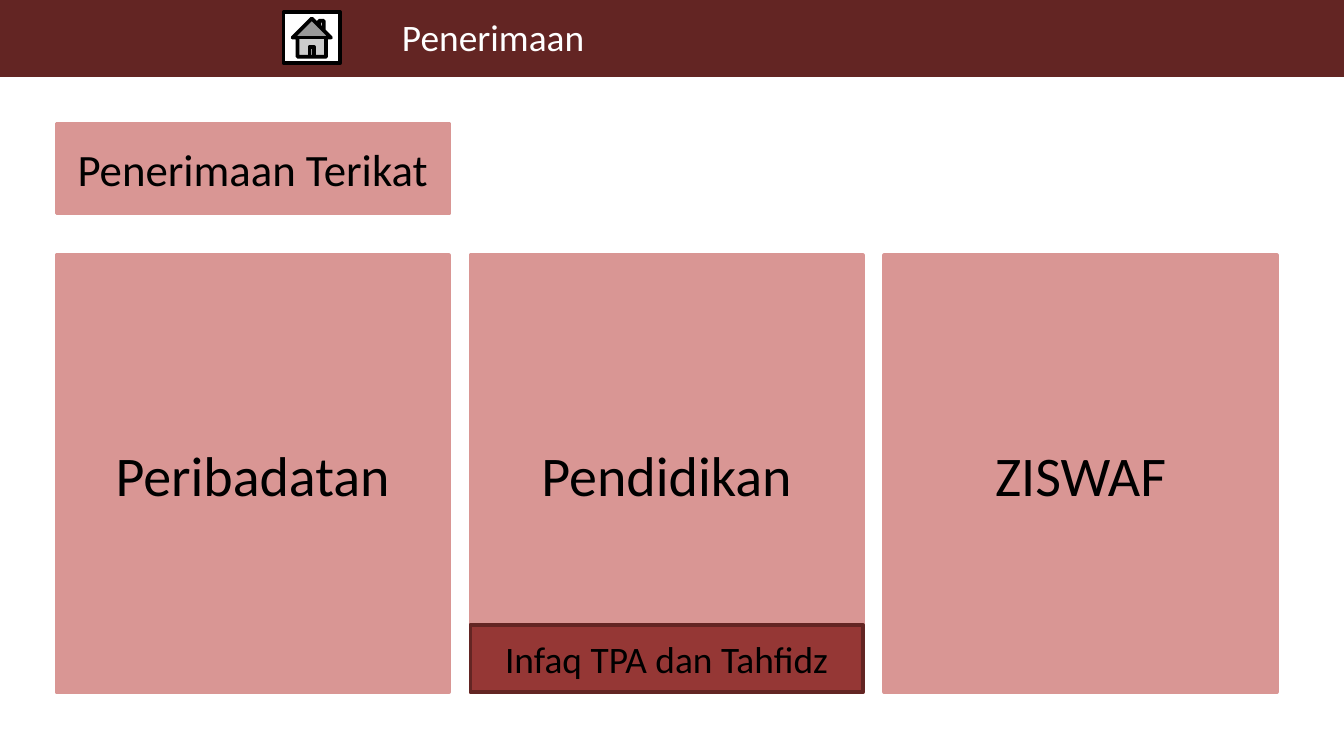
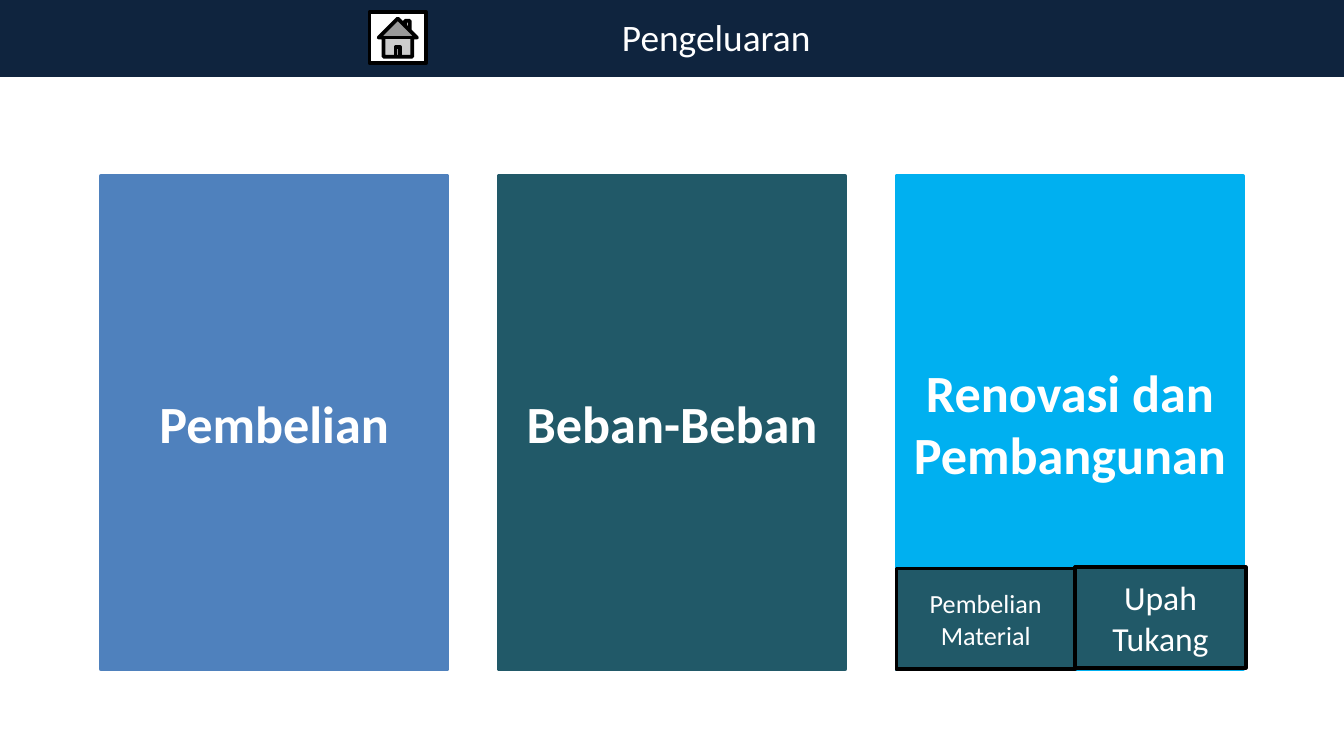
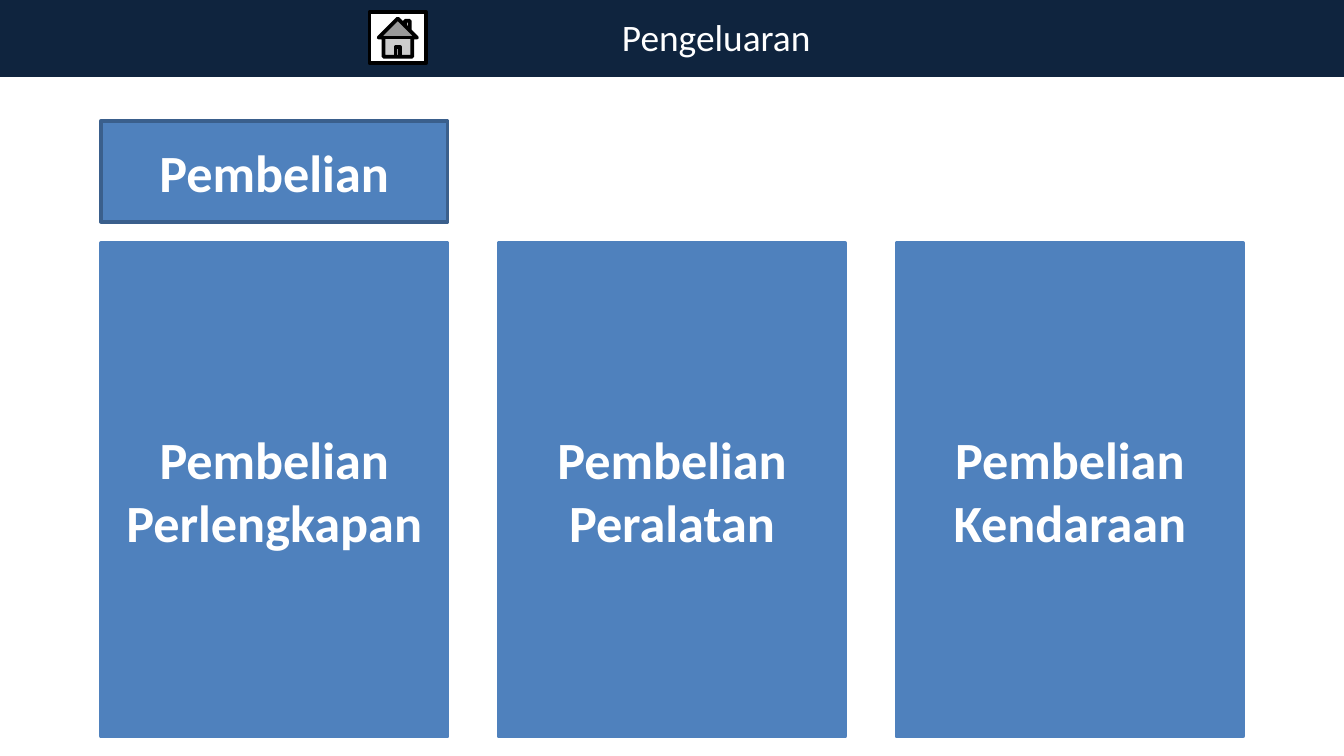
from dataclasses import dataclass
from pptx import Presentation
from pptx.dml.color import RGBColor as RGB
from pptx.enum.shapes import MSO_SHAPE as Kind
from pptx.enum.text import MSO_ANCHOR as Anchor, MSO_AUTO_SIZE as Fit, PP_ALIGN as Align
from pptx.util import Inches, Pt


@dataclass(frozen=True)
class Theme:
    font: str = "Calibri"
    white: str = "FFFFFF"
    black: str = "000000"
    wine: str = "632523"
    brick: str = "953735"
    rose: str = "D99694"
    navy: str = "0F243E"
    blue: str = "4F81BD"
    edge: str = "3A5F8C"
    teal: str = "215968"
    sky: str = "00B0F0"
    line: int = 2
    big: int = 30
    head: int = 28
    tag: int = 24
    title: int = 20
    sub: int = 18
    small: int = 14


T = Theme()
WIDTH = 10
HEIGHT = WIDTH * 9 / 16


def write(shape, text, size, color, bold=False):
    """Fill a shape with one centred paragraph."""
    frame = shape.text_frame
    frame.word_wrap = True
    frame.text = text
    para = frame.paragraphs[0]
    para.alignment = Align.CENTER
    for run in para.runs:
        font = run.font
        font.name, font.size, font.bold = T.font, Pt(size), bold
        font.color.rgb = RGB.from_string(color)


def block(slide, box, fill, line=None, kind=Kind.RECTANGLE):
    """Flat outlined shape; the outline follows the fill unless given."""
    shape = slide.shapes.add_shape(kind, *map(Inches, box))
    shape.shadow.inherit = False
    shape.fill.solid()
    shape.fill.fore_color.rgb = RGB.from_string(fill)
    shape.line.color.rgb = RGB.from_string(line or fill)
    shape.line.width = Pt(T.line)
    return shape


def label(slide, box, text, fill, size, color=T.white, line=None, bold=False):
    shape = block(slide, box, fill, line)
    shape.text_frame.vertical_anchor = Anchor.MIDDLE
    write(shape, text, size, color, bold)


def header(slide, title, fill, home, left):
    """Top band with the home button and the title."""
    block(slide, (0, 0, WIDTH, 0.56), fill)
    block(slide, (home, 0.09, 0.42, 0.38), T.white, T.black, Kind.ACTION_BUTTON_HOME)
    text = slide.shapes.add_textbox(*map(Inches, (left, 0.06, 2, 0.44)))
    write(text, title, T.title, T.white)
    text.text_frame.auto_size = Fit.SHAPE_TO_FIT_TEXT


def columns(slide, box, gap, cards, **style):
    """Row of equal cards, given as (text, fill), across the box."""
    left, top, width, height = box
    wide = (width - gap * (len(cards) - 1)) / len(cards)
    for i, (text, fill) in enumerate(cards):
        label(slide, (left + i * (wide + gap), top, wide, height), text, fill, **style)


def income(slide):
    header(slide, "Penerimaan", T.wine, 2.11, 2.67)
    left, top, width, height = 0.42, 1.9, 9.08, 3.25
    wide, gap, foot = 2.92, 0.16, 0.5
    names = "Peribadatan", "Pendidikan", "ZISWAF"
    columns(slide, (left, top, width, height), gap,
            [(name, T.rose) for name in names], size=T.big, color=T.black)
    # Section tag and the strip at the foot of the middle card
    label(slide, (left, 0.92, wide, 0.67), "Penerimaan Terikat", T.rose, T.tag, T.black)
    label(slide, (left + wide + gap, top + height - foot, wide, foot),
          "Infaq TPA dan Tahfidz", T.brick, T.title, T.black, T.wine)


def expense(slide, top, cards):
    header(slide, "Pengeluaran", T.navy, 2.75, 4.33)
    columns(slide, (0.75, top, 8.5, 3.67), 0.38, cards, size=T.head, bold=True)


def spending(slide):
    expense(slide, 1.31, [("Pembelian", T.blue), ("Beban-Beban", T.teal),
                          ("Renovasi dan Pembangunan", T.sky)])
    # Two parts at the foot of the last card
    parts = (((6.67, 4.23, 1.33, 0.75), "Pembelian Material", T.small),
             ((8, 4.22, 1.27, 0.75), "Upah Tukang", T.sub))
    for box, text, size in parts:
        label(slide, box, text, T.teal, size, line=T.black)


def buying(slide):
    goods = "Perlengkapan", "Peralatan", "Kendaraan"
    expense(slide, 1.81, [(f"Pembelian {item}", T.blue) for item in goods])
    # Section tag
    label(slide, (0.75, 0.9, 2.58, 0.75), "Pembelian", T.blue, T.head,
          line=T.edge, bold=True)


def main():
    deck = Presentation()
    deck.slide_width, deck.slide_height = Inches(WIDTH), Inches(HEIGHT)
    for draw in (income, spending, buying):
        draw(deck.slides.add_slide(deck.slide_layouts[6]))
    deck.save("out.pptx")


if __name__ == "__main__":
    main()
